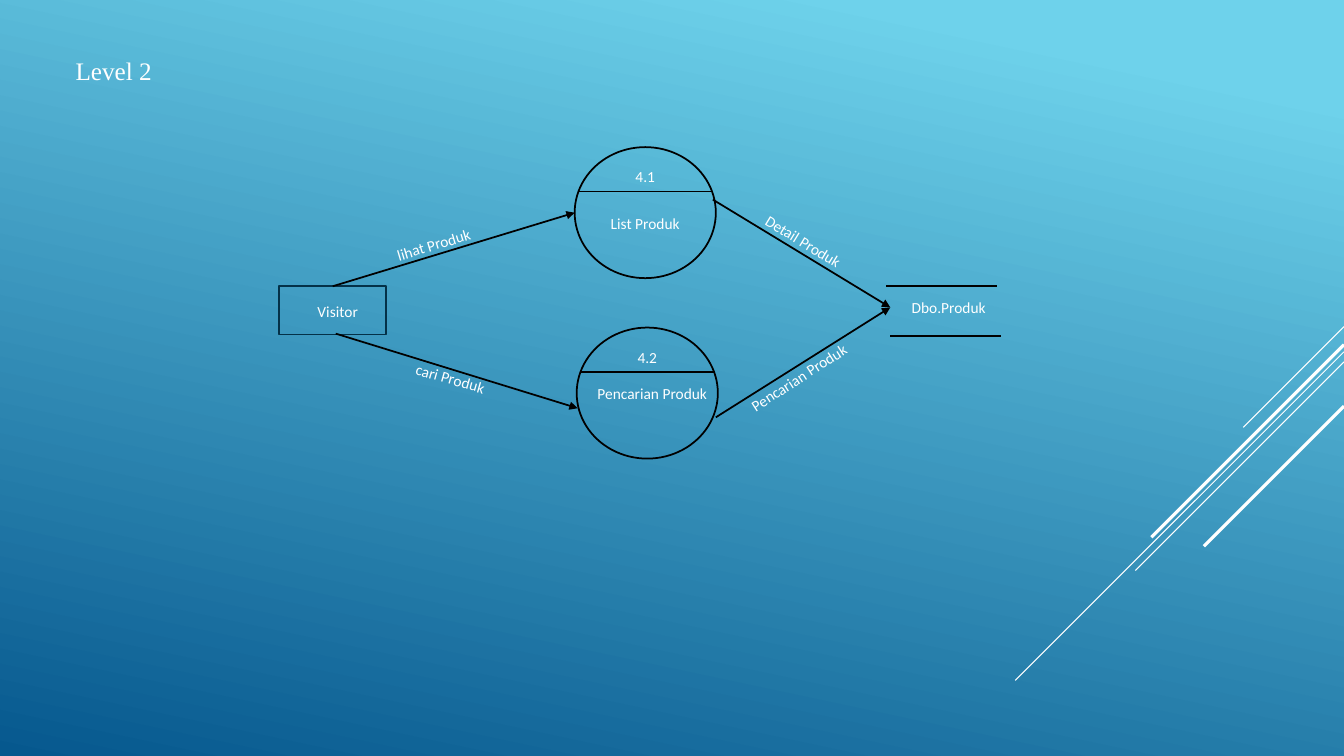
from dataclasses import dataclass

from lxml import etree
from pptx import Presentation
from pptx.dml.color import RGBColor
from pptx.enum.shapes import MSO_CONNECTOR, MSO_SHAPE
from pptx.enum.text import MSO_ANCHOR, PP_ALIGN
from pptx.oxml.ns import qn
from pptx.util import Inches, Pt

STRAIGHT = MSO_CONNECTOR.STRAIGHT
RECT, OVAL = MSO_SHAPE.RECTANGLE, MSO_SHAPE.OVAL
TOP, MIDDLE = MSO_ANCHOR.TOP, MSO_ANCHOR.MIDDLE
LEFT, CENTER = PP_ALIGN.LEFT, PP_ALIGN.CENTER


@dataclass(frozen=True)
class Theme:
    sky: RGBColor = RGBColor.from_string("6ED2EB")
    deep: RGBColor = RGBColor.from_string("06588E")
    navy: RGBColor = RGBColor.from_string("043148")
    white: RGBColor = RGBColor.from_string("FFFFFF")
    black: RGBColor = RGBColor.from_string("000000")
    title_font: str = "Times New Roman"
    body_font: str = "Calibri"
    title_size: float = 18
    label_size: float = 11
    stroke: float = 1.25
    thin: float = 0.75
    thick: float = 2.25


T = Theme()
LABEL_W, LABEL_H = 1.16, 0.2


def set_font(p, name, size):
    p.font.name, p.font.size = name, Pt(size)
    p.font.color.rgb = T.white


def add_line(s, start, end, color=T.black, width=T.stroke, arrow=False):
    c = s.shapes.add_connector(STRAIGHT, *map(Inches, start + end))
    c.line.color.rgb, c.line.width = color, Pt(width)
    if arrow:
        etree.SubElement(c.line._get_or_add_ln(), qn("a:tailEnd"), type="triangle")
    etree.SubElement(c._element.spPr, qn("a:effectLst"))


def add_outline(s, kind, box, color):
    sp = s.shapes.add_shape(kind, *map(Inches, box))
    sp.shadow.inherit = False
    sp.fill.background()
    sp.line.color.rgb, sp.line.width = color, Pt(T.stroke)


def add_label(s, text, x, y, angle=0):
    sp = s.shapes.add_textbox(Inches(x), Inches(y), Inches(LABEL_W), Inches(LABEL_H))
    sp.rotation = angle
    tf = sp.text_frame
    tf.word_wrap = True
    tf.vertical_anchor = TOP
    tf.margin_left = tf.margin_right = tf.margin_top = tf.margin_bottom = 0
    p = tf.paragraphs[0]
    p.text, p.alignment, p.line_spacing = text, CENTER, 1.07
    set_font(p, T.body_font, T.label_size)


def draw_background(s):
    fill = s.background.fill
    fill.gradient()
    fill.gradient_angle = 258
    for stop, color, position in zip(fill.gradient_stops, (T.sky, T.deep), (0.1, 1)):
        stop.color.rgb, stop.position = color, position


def draw_diagonals(s, right):
    for y, length, width in ((3.24, 1, T.thin), (3.49, 3.26, T.thin), (3.59, 2.07, T.thin),
                             (3.42, 1.91, T.thick), (4.03, 1.39, T.thick)):
        add_line(s, (right, y), (right - length, y + length), T.white, width)


def draw_title(s, text, box):
    sp = s.shapes.title
    sp.left, sp.top, sp.width, sp.height = map(Inches, box)
    tf = sp.text_frame
    tf.word_wrap = False
    tf.vertical_anchor = MIDDLE
    p = tf.paragraphs[0]
    p.text, p.alignment = text, LEFT
    set_font(p, T.title_font, T.title_size)


def draw_entity(s, name, box):
    x, y, w, h = box
    add_outline(s, RECT, box, T.navy)
    add_label(s, name, x, y + 0.14)


def draw_process(s, number, name, box, name_dx, name_dy):
    x, y, w, h = box
    add_outline(s, OVAL, box, T.black)
    add_line(s, (x + 0.03, y + 0.44), (x + w - 0.03, y + 0.44))
    add_label(s, number, x + (w - LABEL_W) / 2, y + 0.19)
    add_label(s, name, x + name_dx, y + name_dy)


def draw_store(s, name, box):
    x, y, w, h = box
    add_line(s, (x, y), (x + w, y))
    add_line(s, (x + 0.04, y + h), (x + 0.04 + w, y + h))
    add_label(s, name, x + 0.04, y + 0.11)


def draw_flow(s, text, start, end, label_at, angle):
    add_line(s, start, end, arrow=True)
    add_label(s, text, *label_at, angle)


def main():
    prs = Presentation()
    prs.slide_width, prs.slide_height = Inches(13.33), Inches(7.5)
    s = prs.slides.add_slide(prs.slide_layouts[5])
    draw_background(s)
    draw_diagonals(s, 13.33)
    draw_title(s, "Level 2", (0.65, 0.5, 0.97, 0.4))
    draw_entity(s, "Visitor", (2.77, 2.84, 1.06, 0.48))
    draw_process(s, "4.1", "List Produk", (5.7, 1.46, 1.4, 1.3), 0.12, 0.65)
    draw_process(s, "4.2", "Pencarian Produk", (5.72, 3.25, 1.4, 1.3), 0.17, 0.55)
    draw_store(s, "Dbo.Produk", (8.79, 2.84, 1.1, 0.49))
    store_entry = (8.83, 3.05)
    draw_flow(s, "lihat Produk", (3.3, 2.84), (5.7, 2.11), (3.72, 2.32), 343.4)
    draw_flow(s, "cari Produk", (3.33, 3.31), (5.73, 4.05), (3.89, 3.65), 15.8)
    draw_flow(s, "Detail Produk", (7.07, 1.98), store_entry, (7.39, 2.29), 31.4)
    draw_flow(s, "Pencarian Produk", (7.1, 4.14), store_entry, (7.34, 3.64), 327.3)
    prs.save("out.pptx")


if __name__ == "__main__":
    main()
